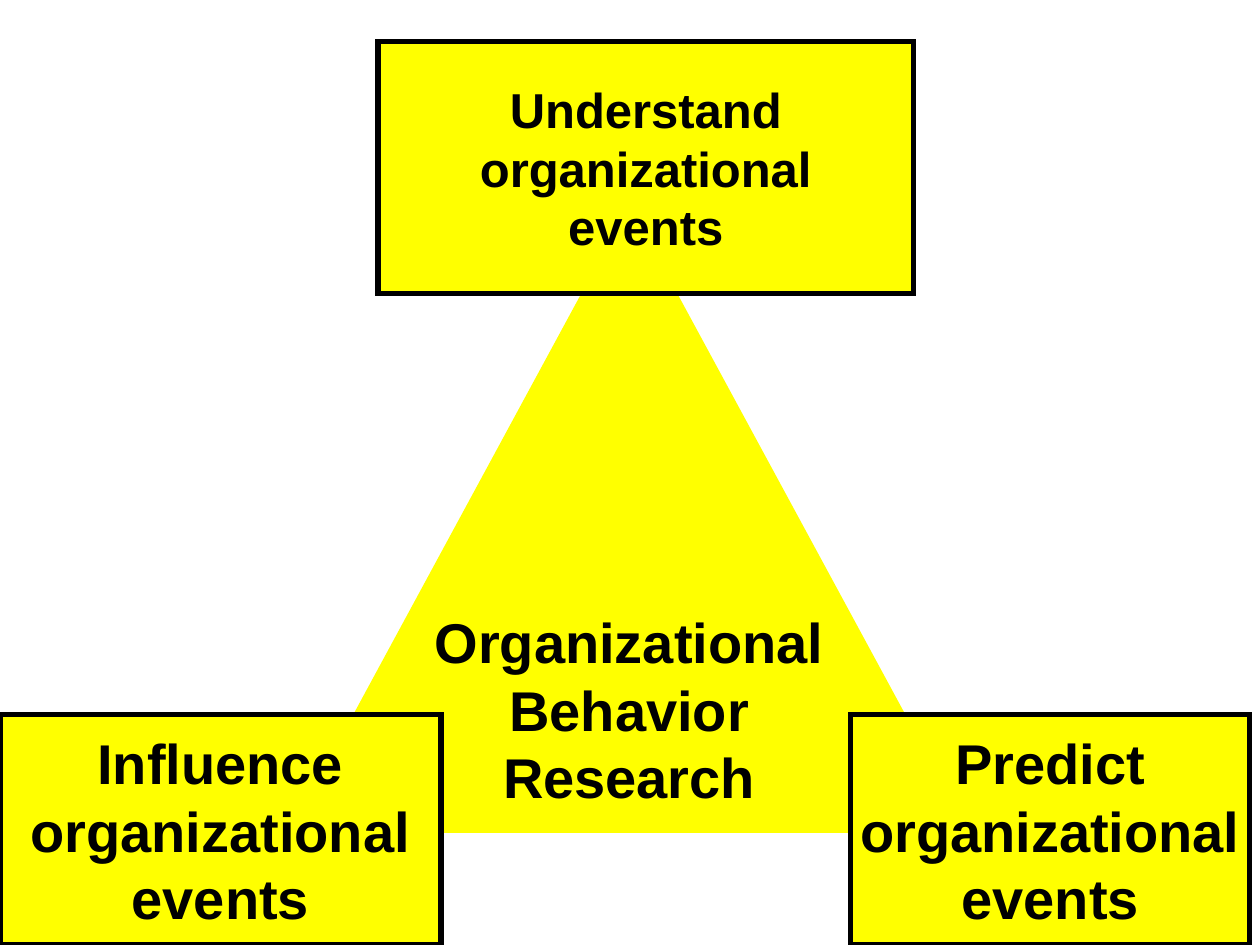
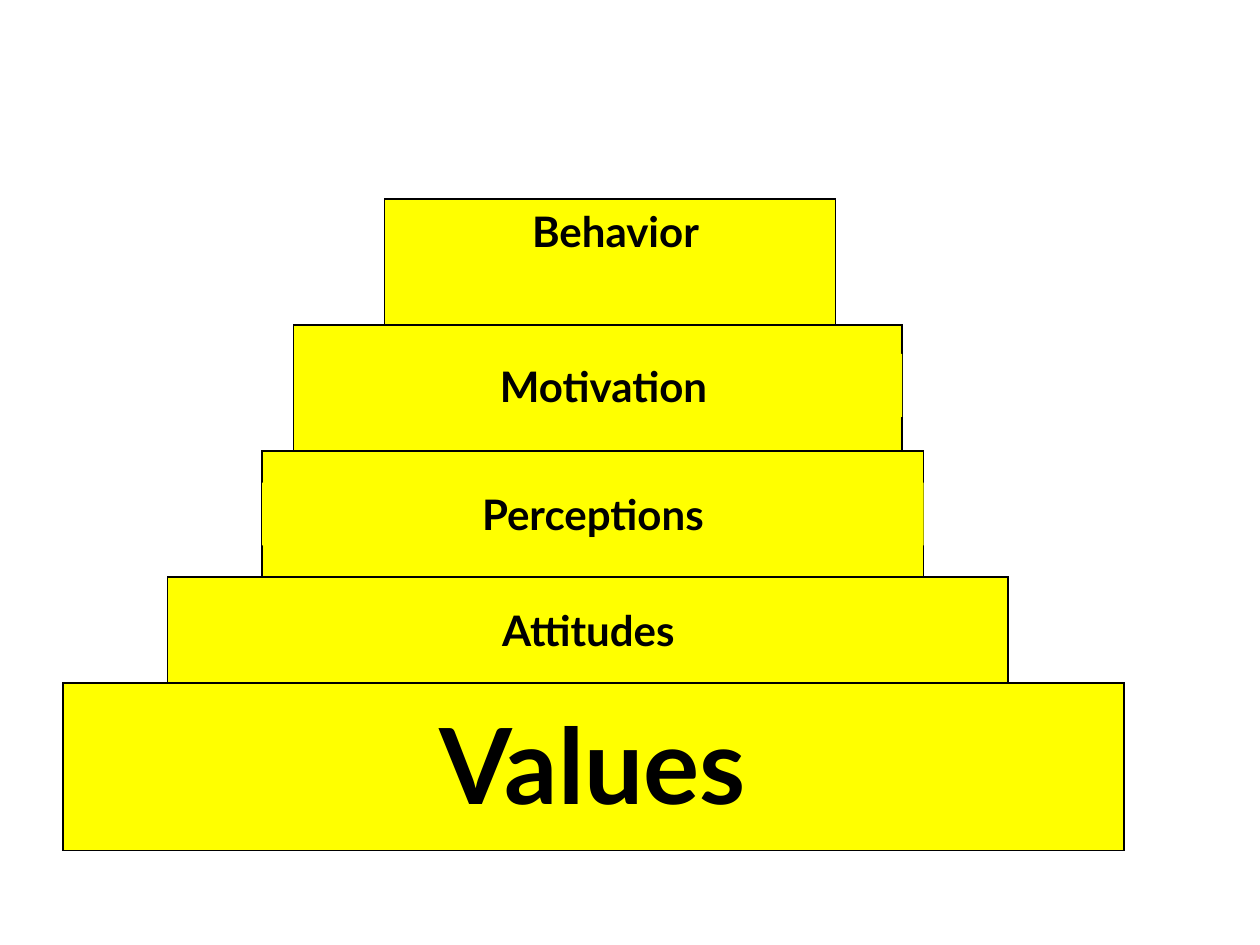
from lxml import etree
from pptx import Presentation
from pptx.dml.color import RGBColor
from pptx.enum.shapes import MSO_SHAPE
from pptx.enum.text import MSO_ANCHOR, MSO_AUTO_SIZE, PP_ALIGN
from pptx.oxml.ns import qn
from pptx.util import Inches, Pt

YELLOW = RGBColor(0xFF, 0xFF, 0x00)
BLACK = RGBColor(0x00, 0x00, 0x00)
RECTANGLE = MSO_SHAPE.RECTANGLE
TRIANGLE = MSO_SHAPE.ISOSCELES_TRIANGLE
MIDDLE, TOP = MSO_ANCHOR.MIDDLE, MSO_ANCHOR.TOP
CENTER = PP_ALIGN.CENTER
GROW = MSO_AUTO_SIZE.SHAPE_TO_FIT_TEXT
BLANK_LAYOUT = 6

RESEARCH = (["Organizational", "Behavior", "Research"], (2.33, 1.67, 5.33, 4.92))
GOALS = [
    ("Understand", (3, 0.33, 4.25, 2), 28),
    ("Predict", (6.75, 5.67, 3.17, 1.83), 32),
    ("Influence", (0, 5.67, 3.5, 1.83), 32),
]
STEPS = [
    ("Attitudes", (1.33, 4.58, 6.67, 0.87), (2.42, 4.75, 4.5, 0.5), 24),
    ("Values", (0.5, 5.42, 8.42, 1.33), (0.58, 5.5, 8.25, 1.1), 60),
    ("Motivation", (2.33, 2.58, 4.83, 1), (2.42, 2.81, 4.74, 0.5), 24),
    ("Behavior", (3.05, 1.58, 3.58, 1), (3.05, 1.58, 3.67, 0.5), 24),
    ("Perceptions", (2.08, 3.58, 5.25, 1), (2.08, 3.83, 5.25, 0.5), 24),
]


def add_block(slide, box, kind=RECTANGLE, fill=YELLOW, line=None, width=0.75):
    block = slide.shapes.add_shape(kind, *map(Inches, box))
    block.shadow.inherit = False
    if fill is None:
        block.fill.background()
    else:
        block.fill.solid()
        block.fill.fore_color.rgb = fill
    if line is None:
        block.line.fill.background()
    else:
        block.line.color.rgb = line
        block.line.width = Pt(width)
        outline = block.line._get_or_add_ln()
        etree.SubElement(outline, qn("a:miter"), lim="800000")
    return block


def write(block, lines, font="Arial", size=32, anchor=MIDDLE, wrap=False,
          inset_top=0.05, space_before=0):
    frame = block.text_frame
    frame.word_wrap = wrap
    frame.vertical_anchor = anchor
    frame.margin_top = Inches(inset_top)
    for index, line in enumerate(lines):
        paragraph = frame.add_paragraph() if index else frame.paragraphs[0]
        paragraph.alignment = CENTER
        paragraph.space_before = Pt(space_before)
        run = paragraph.add_run()
        run.text = line
        run.font.name = font
        run.font.size = Pt(size)
        run.font.bold = True
        run.font.color.rgb = BLACK


def build_research_triangle(slide):
    lines, box = RESEARCH
    triangle = add_block(slide, box, TRIANGLE, line=YELLOW, width=3)
    write(triangle, lines, inset_top=0.58)
    for verb, box, size in GOALS:
        goal = add_block(slide, box, line=BLACK, width=3)
        write(goal, [verb, "organizational", "events"], size=size)


def build_behavior_steps(slide):
    for name, step_box, label_box, size in STEPS:
        add_block(slide, step_box, line=BLACK)
        label = add_block(slide, label_box, fill=None if name == "Behavior" else YELLOW)
        write(label, [name], font="Lato", size=size, anchor=TOP, wrap=True,
              space_before=size * 0.625)
        label.text_frame.auto_size = GROW


def main():
    """Build the research triangle and the steps from values to behavior."""
    deck = Presentation()
    deck.slide_width, deck.slide_height = Inches(10), Inches(7.5)
    for build in (build_research_triangle, build_behavior_steps):
        build(deck.slides.add_slide(deck.slide_layouts[BLANK_LAYOUT]))
    deck.save("out.pptx")


if __name__ == "__main__":
    main()
